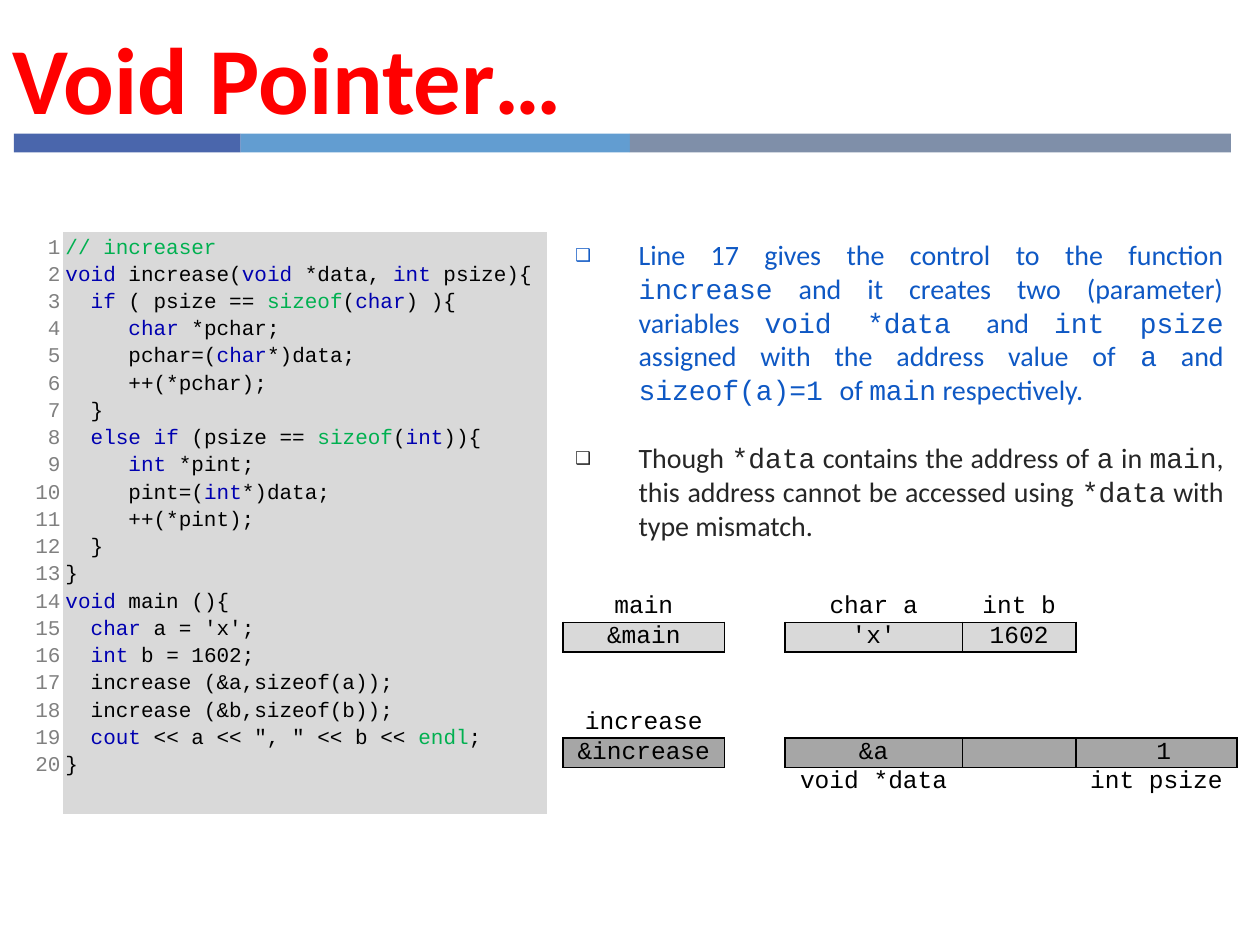
from dataclasses import dataclass
from itertools import accumulate, groupby
from typing import NamedTuple

from lxml import etree
from pptx import Presentation
from pptx.dml.color import RGBColor
from pptx.enum import shapes, text
from pptx.oxml import ns
from pptx.util import Inches, Pt


@dataclass(frozen=True)
class Theme:
    sans: str = "Calibri"
    mono: str = "Courier New"
    title: str = "FF0000"
    link: str = "0E58C4"
    body: str = "262626"
    black: str = "000000"
    number: str = "808080"
    keyword: str = "0000B0"
    accent: str = "00B050"
    light: str = "D9D9D9"
    dark: str = "A6A6A6"
    title_size: int = 54
    body_size: int = 16
    memory_size: int = 14
    code_size: int = 12
    empty_size: int = 10


class Bar(NamedTuple):
    left: float
    width: float
    color: str


class Bullet(NamedTuple):
    text: str  # backticks enclose monospaced words
    color: str


class MemoryRow(NamedTuple):
    height: float
    spans: tuple
    values: tuple = ()
    fill: str = ""  # a filled row draws its cells as boxes


T = Theme()
ALIGN = text.PP_ALIGN
NO_STYLE = "{2D5ABB26-0587-4C30-8999-92F81FD0307C}"

BARS = [Bar(0.11, 1.8, "4A66AC"), Bar(1.91, 3.09, "629DD1"), Bar(5, 4.77, "7F8FA9")]

BULLETS = [
    Bullet("Line 17 gives the control to the function `increase` and it creates two "
           "(parameter) variables `void *data `and `int psize `assigned with the "
           "address value of `a` and `sizeof(a)=1 `of `main` respectively.", T.link),
    Bullet("Though `*data` contains the address of `a` in `main`, this address "
           "cannot be accessed using `*data` with type mismatch.", T.body),
]

CODE = """\
// increaser
void increase(void *data, int psize){
  if ( psize == sizeof(char) ){
     char *pchar;
     pchar=(char*)data;
     ++(*pchar);
  }
  else if (psize == sizeof(int)){
     int *pint;
     pint=(int*)data;
     ++(*pint);
  }
}
void main (){
  char a = 'x';
  int b = 1602;
  increase (&a,sizeof(a));
  increase (&b,sizeof(b));
  cout << a << ", " << b << endl;
}""".split("\n")
WORD_COLORS = {
    **dict.fromkeys(("void", "int", "char", "if", "else", "cout"), T.keyword),
    **dict.fromkeys(("sizeof", "endl"), T.accent),
}

MEMORY_COLS = (1.28, 0.29, 0.19, 0.18, 0.57, 0.48, 0.18, 0.18, 0.26, 0.46, 1.28)
BLOCKS = (1, 2, 4, 3, 1)
MEMORY_ROWS = [
    MemoryRow(0.24, BLOCKS, ("main", None, "char a", "int b", None)),
    MemoryRow(0.22, BLOCKS, ("&main", None, "'x'", "1602", None), T.light),
    MemoryRow(0.27, (1, 1, 1, 1, 2, 1, 1, 2, 1)),
    MemoryRow(0.18, BLOCKS),
    MemoryRow(0.22, (1, 2, 2, 2, 2, 1, 1), ("increase",) + (None,) * 6),
    MemoryRow(0.22, BLOCKS, ("&increase", None, "&a", "", " 1"), T.dark),
    MemoryRow(0.22, BLOCKS, (None, None, "void *data", None, "int psize")),
]
TALL_ROWS, TALL_COLS = (2, 3), (0, 10)  # outer cells joined between the two frames


def rgb(color: str) -> RGBColor:
    return RGBColor.from_string(color)


def write(p, content: str, *, size: int, color: str = T.black,
          font: str = T.mono, bold: bool = False) -> None:
    r = p.add_run()
    r.text = content
    r.font.size, r.font.name, r.font.bold = Pt(size), font, bold
    r.font.color.rgb = rgb(color)


def paragraph(tf, index: int):
    return tf.add_paragraph() if index else tf.paragraphs[0]


def add_text(s, left: float, top: float, width: float, height: float):
    tf = s.shapes.add_textbox(*map(Inches, (left, top, width, height))).text_frame
    tf.word_wrap = True
    return tf


def add_plain_table(s, left: float, top: float, cols: tuple, rows: list):
    """Add a table without style, sized by its columns and rows."""
    size = map(Inches, (left, top, sum(cols), sum(rows)))
    table = s.shapes.add_table(len(rows), len(cols), *size).table
    table.first_row = table.horz_banding = False
    table._tbl.tblPr.find(ns.qn("a:tableStyleId")).text = NO_STYLE
    for col, width in zip(table.columns, cols):
        col.width = Inches(width)
    for row, height in zip(table.rows, rows):
        row.height = Inches(height)
    return table


def set_margins(cell, left: float, top: float, right: float, bottom: float) -> None:
    cell.margin_left, cell.margin_top = Inches(left), Inches(top)
    cell.margin_right, cell.margin_bottom = Inches(right), Inches(bottom)


def fill_cell(cell, color: str) -> None:
    if color:
        cell.fill.solid()
        cell.fill.fore_color.rgb = rgb(color)
    else:
        cell.fill.background()


def box_cell(cell) -> None:
    tc_pr = cell._tc.get_or_add_tcPr()
    for side in "LRTB":
        ln = etree.SubElement(tc_pr, ns.qn(f"a:ln{side}"), w=str(Pt(1)))
        fill = etree.SubElement(ln, ns.qn("a:solidFill"))
        etree.SubElement(fill, ns.qn("a:srgbClr"), val=T.black)


def add_bar(s, bar: Bar) -> None:
    sp = s.shapes.add_shape(shapes.MSO_SHAPE.RECTANGLE, Inches(bar.left), Inches(1.06),
                            Inches(bar.width), Inches(0.15))
    sp.shadow.inherit = False
    sp.fill.solid()
    sp.fill.fore_color.rgb = rgb(bar.color)
    sp.line.fill.background()


def add_bullets(s, bullets: list) -> None:
    tf = add_text(s, 4.47, 1.84, 5.34, 2.6)
    for i, bullet in enumerate(bullets):
        p = paragraph(tf, i)
        p.alignment = ALIGN.JUSTIFY
        if i:
            p.space_before = Pt(20)
        p_pr = p._p.get_or_add_pPr()
        p_pr.set("marL", str(Inches(0.5)))
        p_pr.set("indent", str(Inches(-0.5)))
        etree.SubElement(p_pr, ns.qn("a:buSzPct"), val="90000")
        etree.SubElement(p_pr, ns.qn("a:buFont"), typeface=T.mono)
        etree.SubElement(p_pr, ns.qn("a:buChar"), char="❑")
        for k, part in enumerate(bullet.text.split("`")):
            write(p, part, size=T.body_size, color=bullet.color,
                  font=T.mono if k % 2 else T.sans)


def code_colors(line: str) -> list:
    """Give each character of a code line its colour."""
    if line.startswith("//"):
        return [T.accent] * len(line)
    words = {} if line.lstrip().startswith("increase") else WORD_COLORS
    colors = []
    for _, chars in groupby(line, key=str.isalnum):
        word = "".join(chars)
        colors += [words.get(word, T.black)] * len(word)
    return colors


def add_listing(s, lines: list) -> None:
    numbers, code = add_plain_table(s, 0.19, 1.84, (0.31, 3.84), [4.62]).rows[0].cells
    set_margins(numbers, 0.01, 0.01, 0.02, 0.01)
    set_margins(code, 0.02, 0.01, 0.01, 0.01)
    fill_cell(numbers, "")
    fill_cell(code, T.light)
    column = numbers.text_frame.paragraphs[0]
    column.alignment, column.line_spacing = ALIGN.RIGHT, 1.15
    for i, line in enumerate(lines):
        if i:
            column.add_line_break()
        write(column, str(i + 1), size=T.code_size, color=T.number)
        p = paragraph(code.text_frame, i)
        p.line_spacing = 1.15
        for color, pairs in groupby(zip(code_colors(line), line), key=lambda c: c[0]):
            write(p, "".join(ch for _, ch in pairs), size=T.code_size, color=color)


def add_memory(s, rows: list) -> None:
    table = add_plain_table(s, 4.47, 4.7, MEMORY_COLS, [row.height for row in rows])
    for cell in table.iter_cells():
        set_margins(cell, 0.07, 0, 0.07, 0)
        cell.vertical_anchor = text.MSO_ANCHOR.MIDDLE
        p = cell.text_frame.paragraphs[0]
        p.alignment = ALIGN.CENTER
        etree.SubElement(p._p, ns.qn("a:endParaRPr"), sz=str(T.empty_size * 100))
    for y, row in enumerate(rows):
        values = row.values or (None,) * len(row.spans)
        for end, span, value in zip(accumulate(row.spans), row.spans, values):
            boxed = row.fill and value is not None
            for x in range(end - span, end):
                if boxed:
                    box_cell(table.cell(y, x))
                fill_cell(table.cell(y, x), row.fill if boxed else "")
            first = table.cell(y, end - span)
            if span > 1:
                first.merge(table.cell(y, end - 1))
            if value:
                write(first.text_frame.paragraphs[0], value, size=T.memory_size)
    for x in TALL_COLS:
        table.cell(TALL_ROWS[0], x).merge(table.cell(TALL_ROWS[1], x))


def main() -> None:
    prs = Presentation()
    prs.slide_width, prs.slide_height = Inches(10), Inches(7.5)
    s = prs.slides.add_slide(prs.slide_layouts[6])
    for bar in BARS:
        add_bar(s, bar)
    add_bullets(s, BULLETS)
    add_listing(s, CODE)
    add_memory(s, MEMORY_ROWS)
    title = add_text(s, 0, 0.11, 7.16, 1).paragraphs[0]
    write(title, "Void Pointer…", size=T.title_size, color=T.title, font=T.sans, bold=True)
    prs.save("out.pptx")


main()
